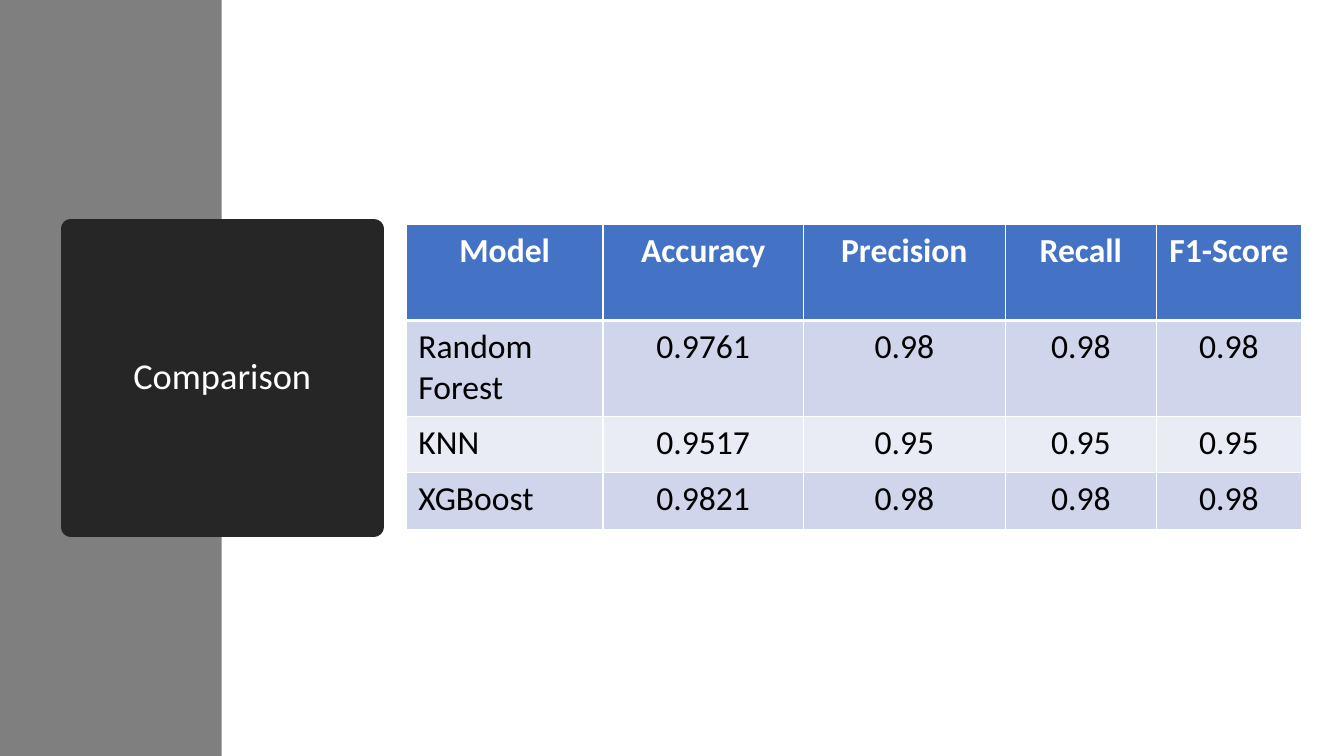
import pptx
import pptx.util
import pptx.dml.color
import pptx.enum.shapes
import pptx.enum.text
import pptx.oxml
import pptx.oxml.ns
from pptx.util import Inches

THEME = {
    "font": "Calibri",
    "title_size": 26,
    "table_size": 24,
    "band": "7F7F7F",
    "title_box": "262626",
    "white": "FFFFFF",
    "black": "000000",
    "header": "4472C4",
    "rows": ["CFD5EA", "E9EBF5"],
}
RGB = pptx.dml.color.RGBColor.from_string
ALIGN = pptx.enum.text.PP_ALIGN
RECT = pptx.enum.shapes.MSO_SHAPE.RECTANGLE


def write(tf, text, size, color, align, bold=False):
    tf.text = text
    p = tf.paragraphs[0]
    p.alignment = align
    f = p.runs[0].font
    f.name = THEME["font"]
    f.size = pptx.util.Pt(size)
    f.bold = bold
    f.color.rgb = RGB(color)


def add_borders(cell, widths):
    tcPr = cell._tc.get_or_add_tcPr()
    for i, (side, width) in enumerate(widths.items()):
        tcPr.insert(i, pptx.oxml.parse_xml(
            f'<a:ln{side} {pptx.oxml.ns.nsdecls("a")} w="{pptx.util.Pt(width)}">'
            f'<a:solidFill><a:srgbClr val="{THEME["white"]}"/></a:solidFill>'
            f'</a:ln{side}>'))


prs = pptx.Presentation()
prs.slide_width = Inches(13.33)
prs.slide_height = Inches(7.5)
s = prs.slides.add_slide(prs.slide_layouts[6])

band = s.shapes.add_shape(RECT, 0, 0, Inches(2.2), prs.slide_height)
band.shadow.inherit = False
band.fill.solid()
band.fill.fore_color.rgb = RGB(THEME["band"])
band.line.fill.background()

box = s.shapes.add_shape(RECT, Inches(0.7), Inches(2.27), Inches(3.01), Inches(2.96))
box.shadow.inherit = False
box.fill.solid()
box.fill.fore_color.rgb = RGB(THEME["title_box"])
box.line.color.rgb = RGB(THEME["title_box"])
box.line.width = pptx.util.Pt(13.75)
box.line._get_or_add_ln().append(
    pptx.oxml.parse_xml(f'<a:round {pptx.oxml.ns.nsdecls("a")}/>'))
tf = box.text_frame
tf.word_wrap = True
tf.vertical_anchor = pptx.enum.text.MSO_ANCHOR.MIDDLE
write(tf, "Comparison", THEME["title_size"], THEME["white"], ALIGN.CENTER)
tf.paragraphs[0].line_spacing = 0.9

scores = [
    ["Model", "Accuracy", "Precision", "Recall", "F1-Score"],
    ["Random Forest", "0.9761", "0.98", "0.98", "0.98"],
    ["KNN", "0.9517", "0.95", "0.95", "0.95"],
    ["XGBoost", "0.9821", "0.98", "0.98", "0.98"],
]
col_widths = [1.95, 1.99, 2, 1.5, 1.44]
row_heights = [0.95, 0.95, 0.56, 0.56]
table = s.shapes.add_table(
    len(scores), len(col_widths), Inches(4.03), Inches(2.23),
    Inches(sum(col_widths)), Inches(sum(row_heights))).table
for col, width in zip(table.columns, col_widths):
    col.width = Inches(width)
for row, height in zip(table.rows, row_heights):
    row.height = Inches(height)

for i, values in enumerate(scores):
    header = i == 0
    for j, value in enumerate(values):
        cell = table.cell(i, j)
        cell.margin_left = cell.margin_right = Inches(0.12)
        cell.margin_top = cell.margin_bottom = Inches(0.06)
        cell.fill.solid()
        cell.fill.fore_color.rgb = RGB(
            THEME["header"] if header else THEME["rows"][(i - 1) % 2])
        add_borders(cell, {"L": 1, "R": 1, "T": 3 if i == 1 else 1, "B": 3 if header else 1})
        write(cell.text_frame, value, THEME["table_size"],
              THEME["white"] if header else THEME["black"],
              ALIGN.CENTER if header or j else ALIGN.LEFT, header)

prs.save("out.pptx")
